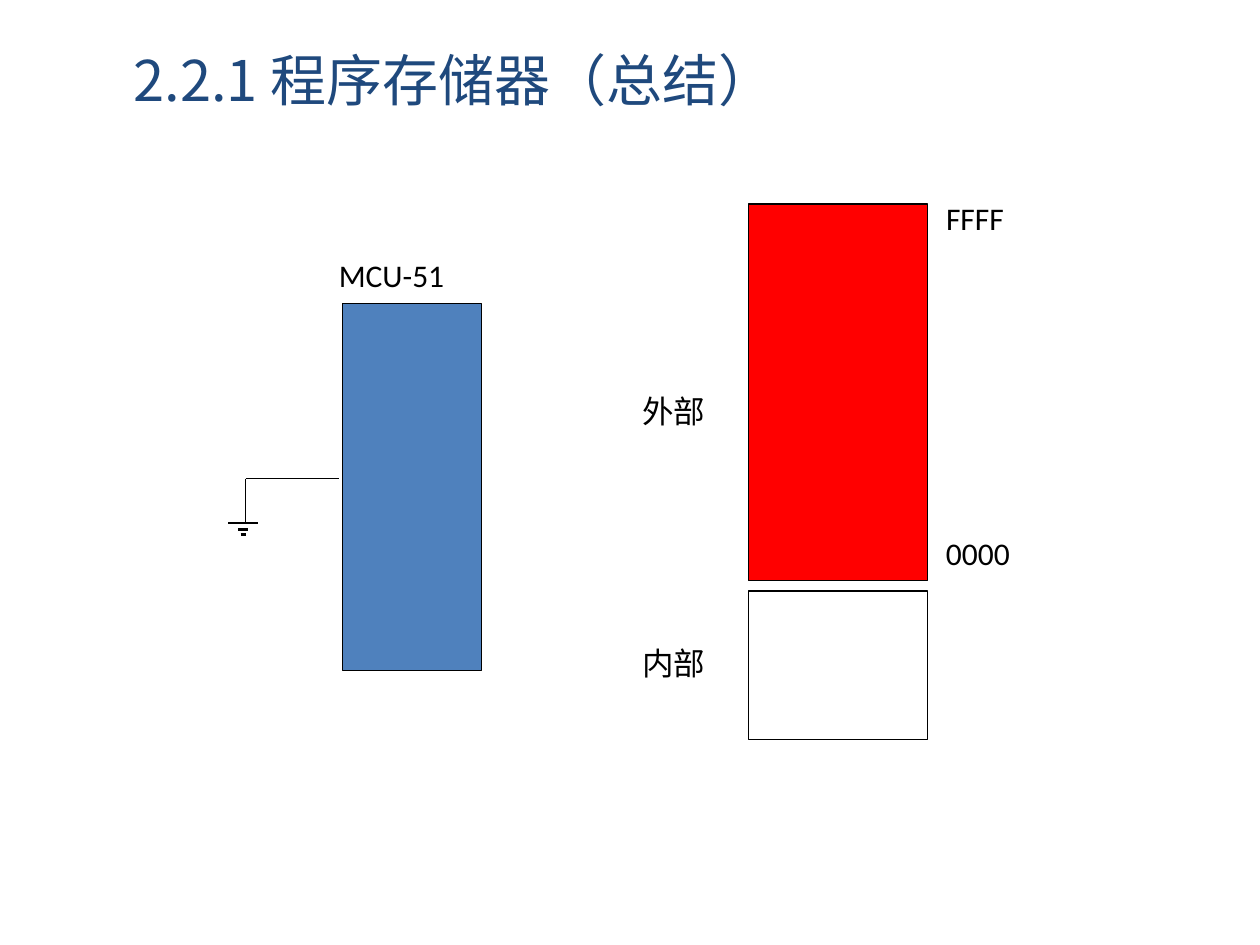
from typing import NamedTuple, Optional

from lxml import etree
from pptx import Presentation
from pptx.dml.color import RGBColor
from pptx.enum.shapes import MSO_CONNECTOR, MSO_SHAPE
from pptx.enum.text import MSO_ANCHOR, MSO_AUTO_SIZE, PP_ALIGN
from pptx.oxml.ns import qn
from pptx.util import Inches, Pt

RECT = MSO_SHAPE.RECTANGLE
STRAIGHT = MSO_CONNECTOR.STRAIGHT
MIDDLE = MSO_ANCHOR.MIDDLE
FIT_SHAPE = MSO_AUTO_SIZE.SHAPE_TO_FIT_TEXT
NO_FIT = MSO_AUTO_SIZE.NONE
LEFT = PP_ALIGN.LEFT

COLORS = {"black": "000000", "external": "FF0000", "chip": "4F81BD", "title": "1F497D"}
BODY_FONT = "Calibri"
TITLE_FONT = "Noto Sans CJK JP"


class Block(NamedTuple):
    left: float
    top: float
    width: float
    height: float
    fill: Optional[str] = None


class Wire(NamedTuple):
    x1: float
    y1: float
    x2: float
    y2: float
    weight: float = 0.75


class Label(NamedTuple):
    text: str
    left: float
    top: float
    width: float
    wrap: bool = False


def color(name: str) -> RGBColor:
    return RGBColor.from_string(COLORS[name])


def add_block(slide, block: Block) -> None:
    sp = slide.shapes.add_shape(RECT, *map(Inches, block[:4]))
    sp.shadow.inherit = False
    if block.fill:
        sp.fill.solid()
        sp.fill.fore_color.rgb = color(block.fill)
    else:
        sp.fill.background()
    sp.line.color.rgb = color("black")
    sp.line.width = Pt(0.75)


def add_wire(slide, wire: Wire) -> None:
    line = slide.shapes.add_connector(STRAIGHT, *map(Inches, wire[:4]))
    line.line.color.rgb = color("black")
    line.line.width = Pt(wire.weight)
    etree.SubElement(line._element.spPr, qn("a:effectLst"))


def style_text(tf, font: str, size: float, color_name: str) -> None:
    for r in tf.paragraphs[0].runs:
        r.font.name = font
        r.font.size = Pt(size)
        r.font.color.rgb = color(color_name)


def add_label(slide, label: Label) -> None:
    box = (label.left, label.top, label.width, 0.4)
    tf = slide.shapes.add_textbox(*map(Inches, box)).text_frame
    tf.word_wrap = label.wrap
    tf.auto_size = FIT_SHAPE
    tf.text = label.text
    style_text(tf, BODY_FONT, 18, "black")


def set_title(slide, text: str) -> None:
    title = slide.shapes.title
    title.left, title.top = Inches(0.96), Inches(0.21)
    title.width, title.height = Inches(8.32), Inches(0.84)
    tf = title.text_frame
    tf.text = text
    tf.word_wrap = True
    tf.auto_size = NO_FIT
    tf.vertical_anchor = MIDDLE
    tf.paragraphs[0].alignment = LEFT
    style_text(tf, TITLE_FONT, 32, "title")


# Memory map and chip
BLOCKS = [
    Block(5.94, 1.62, 1.42, 2.99, "external"),
    Block(5.94, 4.69, 1.42, 1.18),
    Block(2.72, 2.41, 1.1, 2.91, "chip"),
]

# Ground symbol and the wire that leads to the chip
WIRES = [
    Wire(1.81, 4.15, 2.05, 4.15, 1.5),
    Wire(1.89, 4.2, 1.97, 4.2, 1.5),
    Wire(1.91, 4.24, 1.95, 4.24, 1.5),
    Wire(1.95, 3.8, 1.95, 4.14),
    Wire(1.95, 3.8, 2.69, 3.8),
]

LABELS = [
    Label("MCU-51", 2.59, 1.98, 1.48, True),
    Label("内部", 5, 5.06, 0.7),
    Label("外部", 5, 3.06, 0.7, True),
    Label("0000", 7.41, 4.19, 0.76),
    Label("FFFF", 7.41, 1.53, 0.81),
]


def main() -> None:
    prs = Presentation()
    prs.slide_width, prs.slide_height = Inches(10), Inches(7.5)
    slide = prs.slides.add_slide(prs.slide_layouts[5])
    set_title(slide, "2.2.1 程序存储器（总结）")
    for block in BLOCKS:
        add_block(slide, block)
    for wire in WIRES:
        add_wire(slide, wire)
    for label in LABELS:
        add_label(slide, label)
    prs.save("out.pptx")


if __name__ == "__main__":
    main()
